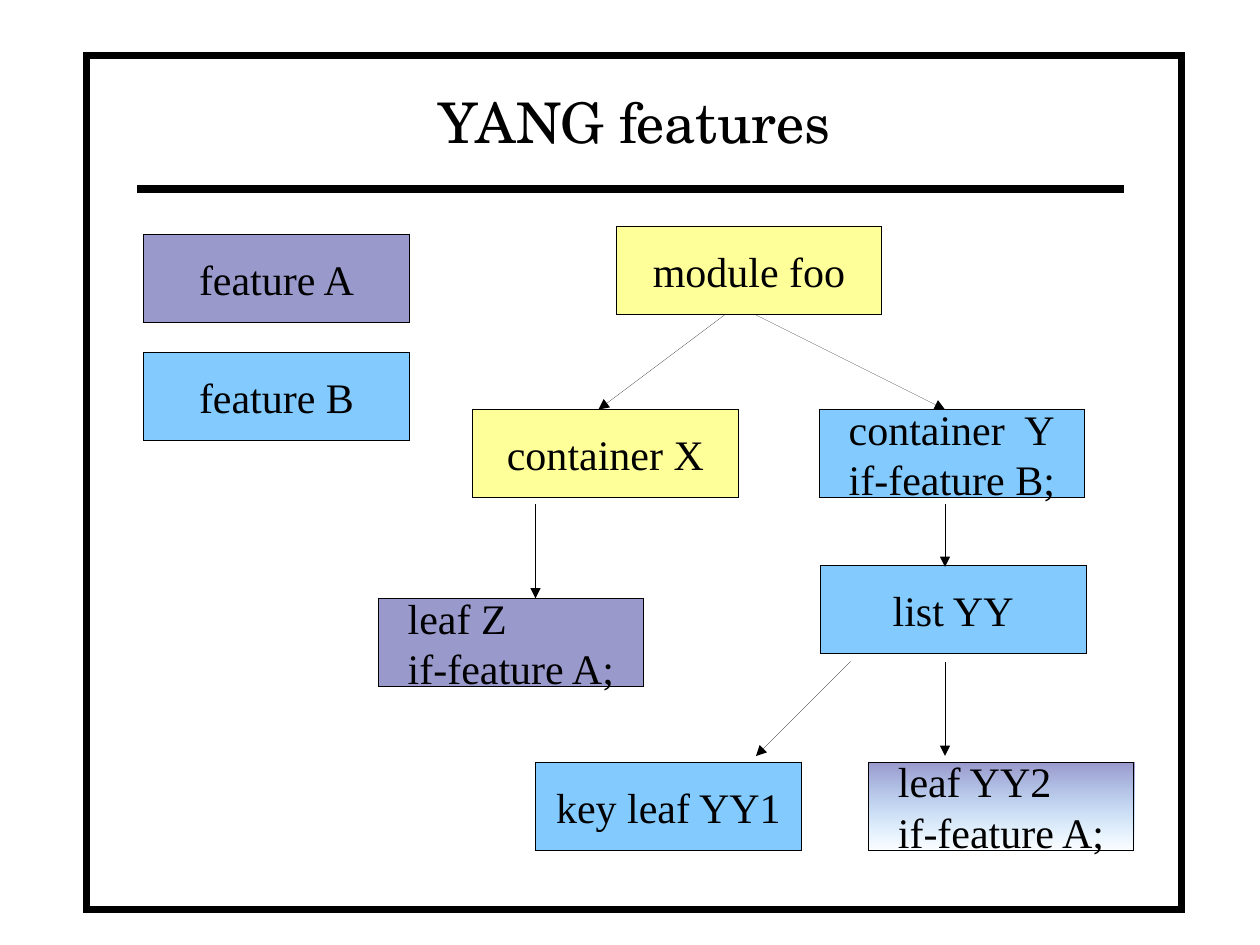
from lxml import etree
from pptx import Presentation
from pptx.dml.color import RGBColor
from pptx.enum.shapes import MSO_CONNECTOR, MSO_SHAPE
from pptx.enum.text import MSO_ANCHOR, PP_ALIGN
from pptx.oxml.ns import qn
from pptx.util import Inches, Pt

RECT = MSO_SHAPE.RECTANGLE
STRAIGHT = MSO_CONNECTOR.STRAIGHT
MIDDLE = MSO_ANCHOR.MIDDLE
LEFT, CENTER = PP_ALIGN.LEFT, PP_ALIGN.CENTER

COLORS = {
    "black": "000000",
    "base": "FFFF99",
    "feature A": "9999CC",
    "feature B": "83CAFF",
}
RGB = {name: RGBColor.from_string(value) for name, value in COLORS.items()}
BOX_W, BOX_H = 2.11, 0.7


def set_line(shape, width):
    """Black line with sharp corners; the width is written even when it is 0."""
    shape.line.color.rgb = RGB["black"]
    ln = shape.line._get_or_add_ln()
    ln.set("w", str(Pt(width)))
    etree.SubElement(ln, qn("a:miter"), lim="800000")
    return ln


def add_text(p, text, size, font):
    r = p.add_run()
    r.text = text
    r.font.size = Pt(size)
    r.font.name = font
    r.font.color.rgb = RGB["black"]


prs = Presentation()
prs.slide_width, prs.slide_height = Inches(10), Inches(7.5)
s = prs.slides.add_slide(prs.slide_layouts[5])

# Frame and title
frame = s.shapes.add_shape(
    RECT, Inches(0.69), Inches(0.44), Inches(8.69), Inches(6.78))
frame.shadow.inherit = False
frame.fill.background()
set_line(frame, 4)

title = s.shapes.title
title.left, title.top = Inches(1.08), Inches(0.5)
title.width, title.height = Inches(7.79), Inches(0.92)
tf = title.text_frame
tf.vertical_anchor = MIDDLE
tf.margin_left = tf.margin_right = tf.margin_top = tf.margin_bottom = 0
tf.paragraphs[0].alignment = CENTER
add_text(tf.paragraphs[0], " YANG features", 32, "TeX Gyre Schola")

# Boxes: left, top, fill, lines of text
boxes = [
    (4.89, 1.8, "base", ["module foo"]),
    (1.14, 1.86, "feature A", ["feature A"]),
    (3.75, 3.25, "base", ["container X"]),
    (3, 4.75, "feature A", ["leaf Z", "if-feature A;"]),
    (1.14, 2.8, "feature B", ["feature B"]),
    (6.5, 3.25, "feature B", ["container  Y", "if-feature B;"]),
    (6.51, 4.49, "feature B", ["list YY"]),
    (4.25, 6.05, "feature B", ["key leaf YY1"]),
    (6.89, 6.05, "both", ["leaf YY2", "if-feature A;"]),
]
for left, top, fill, lines in boxes:
    sp = s.shapes.add_shape(
        RECT, Inches(left), Inches(top), Inches(BOX_W), Inches(BOX_H))
    sp.shadow.inherit = False
    if fill == "both":
        sp.fill.gradient()
        sp.fill.gradient_angle = 270
        stops = sp.fill.gradient_stops
        for stop, position, name in zip(stops, (0, 1), ("feature A", "feature B")):
            stop.position = position
            stop.color.rgb = RGB[name]
        # The lower end fades to transparent
        color = stops[1]._gs.find(qn("a:srgbClr"))
        etree.SubElement(color, qn("a:alpha"), val="0")
    else:
        sp.fill.solid()
        sp.fill.fore_color.rgb = RGB[fill]
    set_line(sp, 0)
    tf = sp.text_frame
    tf.word_wrap = False
    tf.vertical_anchor = MIDDLE
    # Centre the left-aligned lines as one block
    tf._txBody.bodyPr.set("anchorCtr", "1")
    for i, text in enumerate(lines):
        p = tf.add_paragraph() if i else tf.paragraphs[0]
        p.alignment = LEFT
        add_text(p, text, 24, "Times New Roman")

# Title rule, then arrows from parent to child: x1, y1, x2, y2, width, head
connectors = [
    (1.09, 1.5, 8.92, 1.5, 4.5, "none"),
    (5.75, 2.5, 4.75, 3.25, 0, "triangle"),
    (6, 2.5, 7.5, 3.25, 0, "triangle"),
    (7.5, 4, 7.5, 4.5, 0, "triangle"),
    (6.75, 5.25, 6, 6, 0, "triangle"),
    (4.25, 4, 4.25, 4.75, 0, "triangle"),
    (7.5, 5.25, 7.5, 6, 0, "triangle"),
]
for x1, y1, x2, y2, width, head in connectors:
    line = s.shapes.add_connector(
        STRAIGHT, Inches(x1), Inches(y1), Inches(x2), Inches(y2))
    ln = set_line(line, width)
    etree.SubElement(ln, qn("a:tailEnd"), type=head)
    etree.SubElement(line._element.spPr, qn("a:effectLst"))

prs.save("out.pptx")
